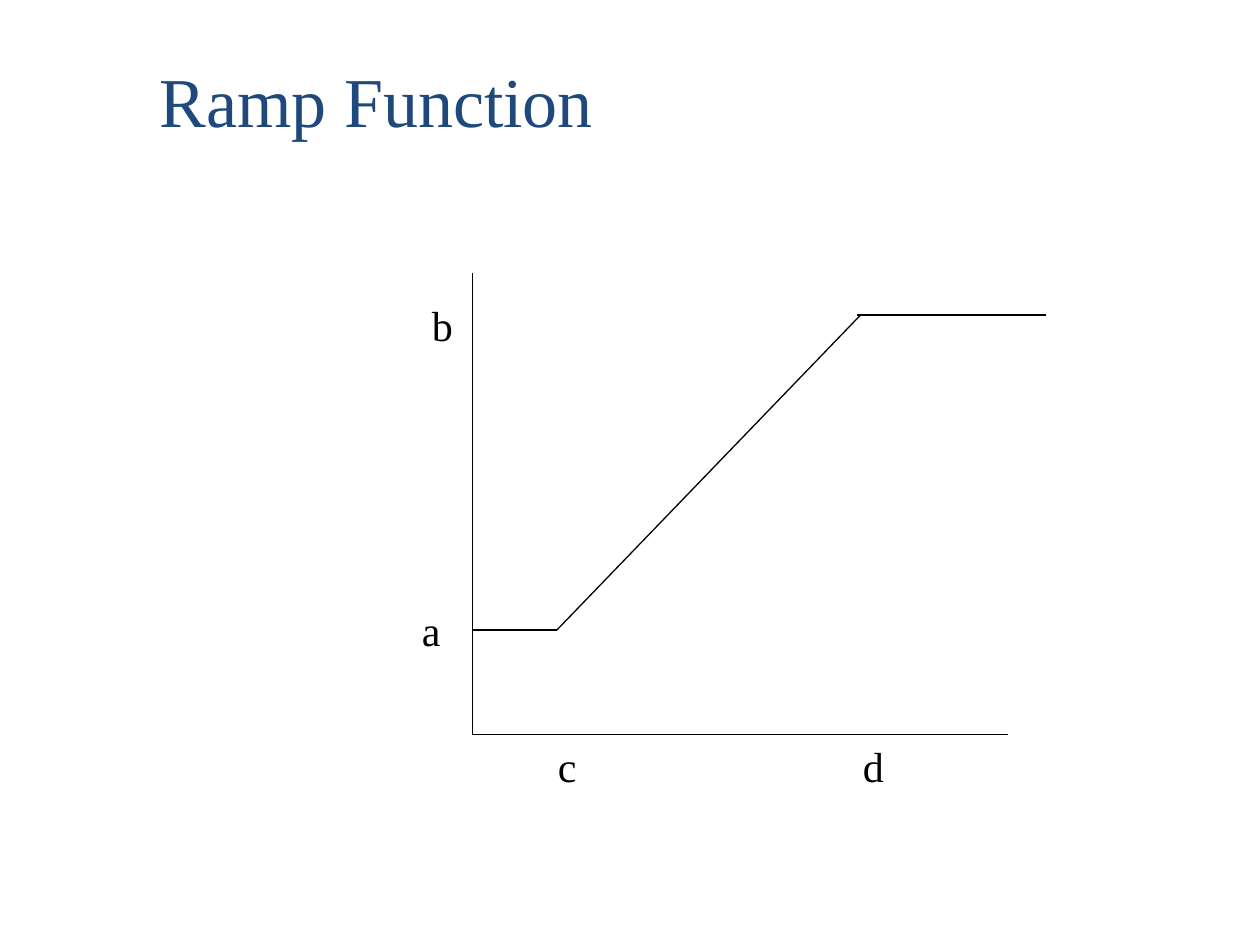
import pptx
import pptx.util
import pptx.dml.color
import pptx.enum.shapes
import pptx.enum.text
import lxml.etree
from pptx.util import Inches

COLORS = {"ink": "000000", "title": "1F497D"}
FONT = "Times New Roman"


def color(name):
    return pptx.dml.color.RGBColor.from_string(COLORS[name])


def add_tabs(para, stops):
    props = para._p.get_or_add_pPr()
    tabs = lxml.etree.SubElement(props, pptx.oxml.ns.qn("a:tabLst"))
    for stop in stops:
        tab = lxml.etree.SubElement(tabs, pptx.oxml.ns.qn("a:tab"))
        tab.set("pos", str(Inches(stop)))
        tab.set("algn", "l")


def add_text(slide, text, left, top, width, height=0.5, size=24, ink="ink", stops=()):
    box = slide.shapes.add_textbox(
        Inches(left), Inches(top), Inches(width), Inches(height))
    frame = box.text_frame
    frame.word_wrap = True
    frame.auto_size = pptx.enum.text.MSO_AUTO_SIZE.SHAPE_TO_FIT_TEXT
    para = frame.paragraphs[0]
    if stops:
        add_tabs(para, stops)
    run = para.add_run()
    run.text = text
    run.font.name = FONT
    run.font.size = pptx.util.Pt(size)
    run.font.color.rgb = color(ink)


def add_line(slide, start, end):
    line = slide.shapes.add_connector(
        pptx.enum.shapes.MSO_CONNECTOR.STRAIGHT,
        *(Inches(value) for value in start + end))
    line.line.color.rgb = color("ink")
    line.line.width = pptx.util.Pt(0.75)
    lxml.etree.SubElement(line._element.spPr, pptx.oxml.ns.qn("a:effectLst"))


def draw_axes(slide):
    origin = (3.75, 5.83)
    add_line(slide, (3.75, 2.17), origin)
    add_line(slide, origin, (8, 5.83))
    add_text(slide, "\tc\td", 4, 5.83, 3.75, stops=(0.33, 2.75))
    add_text(slide, "b", 3.33, 2.33, 0.33)
    add_text(slide, "a", 3.25, 4.75, 0.42)


def draw_ramp(slide):
    low = (4.42, 5)
    add_line(slide, (3.75, 5), low)
    add_line(slide, (6.8, 2.5), (8.3, 2.5))
    add_line(slide, low, (6.83, 2.5))


def main():
    deck = pptx.Presentation()
    deck.slide_width = Inches(10)
    deck.slide_height = Inches(7.5)
    slide = deck.slides.add_slide(deck.slide_layouts[6])
    draw_axes(slide)
    add_text(slide, "Ramp Function", 1.17, 0.41, 5.92, 0.77, size=40, ink="title")
    draw_ramp(slide)
    deck.save("out.pptx")


if __name__ == "__main__":
    main()
